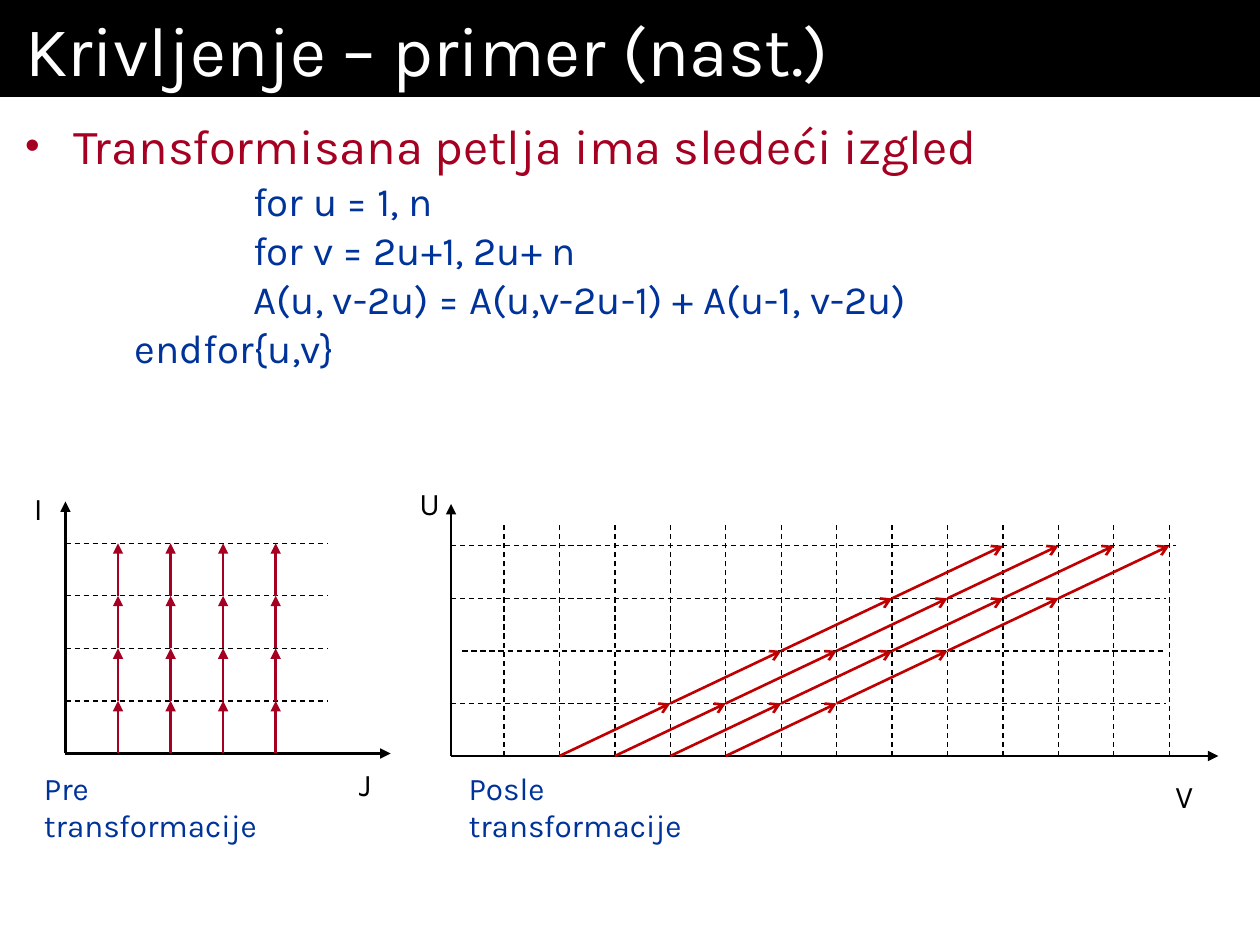
from collections import namedtuple

from lxml import etree
from pptx import Presentation
from pptx.dml.color import RGBColor
from pptx.enum.dml import MSO_LINE_DASH_STYLE as Dash
from pptx.enum.shapes import MSO_CONNECTOR as Connector
from pptx.enum.text import MSO_ANCHOR as Anchor, MSO_AUTO_SIZE as AutoSize, PP_ALIGN as Align
from pptx.oxml.ns import qn
from pptx.util import Inches, Pt

COLORS = {
    "black": "000000",
    "white": "FFFFFF",
    "crimson": "A50021",
    "red": "C00000",
    "blue": "003399",
}
FONT = "Karla"
ROW_STEP = 0.417
Box = namedtuple("Box", "left top width height")


def color(name):
    return RGBColor.from_string(COLORS[name])


def set_all(target, values):
    for name, value in values.items():
        setattr(target, name, value)


def place(shape, box):
    set_all(shape, {name: Inches(value) for name, value in box._asdict().items()})


def set_frame(frame, inset_x, inset_y, anchor, wrap=True):
    set_all(frame, {
        "margin_left": Inches(inset_x),
        "margin_right": Inches(inset_x),
        "margin_top": Inches(inset_y),
        "margin_bottom": Inches(inset_y),
        "vertical_anchor": anchor,
        "word_wrap": wrap,
        "auto_size": AutoSize.NONE,
    })


def write(paragraph, text, size, ink, align=Align.LEFT):
    paragraph.alignment = align
    run = paragraph.add_run()
    run.text = text
    set_all(run.font, {"name": FONT, "size": Pt(size)})
    run.font.color.rgb = color(ink)


def indent(paragraph, left, first, bullet=None):
    props = paragraph._p.get_or_add_pPr()
    props.set("marL", str(Inches(left)))
    props.set("indent", str(Inches(first)))
    if bullet is None:
        etree.SubElement(props, qn("a:buNone"))
        return
    ink = etree.SubElement(props, qn("a:buClr"))
    etree.SubElement(ink, qn("a:srgbClr"), val=COLORS["crimson"])
    etree.SubElement(props, qn("a:buSzPct"), val="85000")
    etree.SubElement(props, qn("a:buChar"), char=bullet)


def add_line(slide, start, end, ink="black", width=1.5, dash=None, arrow=None):
    line = slide.shapes.add_connector(
        Connector.STRAIGHT, *(Inches(value) for value in (*start, *end)))
    line.line.color.rgb = color(ink)
    set_all(line.line, {"width": Pt(width), "dash_style": dash})
    if arrow:
        etree.SubElement(line.line._get_or_add_ln(), qn("a:tailEnd"), type=arrow)
    etree.SubElement(line._element.spPr, qn("a:effectLst"))


def add_grid_line(slide, start, end):
    add_line(slide, start, end, width=0.75, dash=Dash.DASH)


def add_label(slide, text, box, ink="black", wrap=False):
    label = slide.shapes.add_textbox(*(Inches(value) for value in box))
    frame = label.text_frame
    set_frame(frame, 0.1, 0.05, Anchor.BOTTOM, wrap)
    if wrap:
        frame.margin_right = Inches(0.4)
    write(frame.paragraphs[0], text, 18, ink)


def add_axes(slide, box):
    origin = (box.left, box.top + box.height)
    add_line(slide, origin, (box.left, box.top), arrow="triangle")
    add_line(slide, origin, (box.left + box.width, origin[1]), arrow="triangle")
    return origin


def build_heading(slide, box):
    title = slide.shapes.title
    place(title, box)
    title.fill.solid()
    title.fill.fore_color.rgb = color("black")
    set_frame(title.text_frame, 0.2, 0.05, Anchor.MIDDLE)
    write(title.text_frame.paragraphs[0], "Krivljenje – primer (nast.)", 40, "white")


def build_loop_code(slide, box):
    body = slide.placeholders[1]
    place(body, box)
    frame = body.text_frame
    set_frame(frame, 0.2, 0.15, Anchor.TOP)
    intro = frame.paragraphs[0]
    write(intro, "Transformisana petlja ima sledeći izgled", 28, "crimson")
    indent(intro, 0.38, -0.38, "•")
    code_lines = [
        ("for u = 1, n", 1.81),
        ("for v = 2u+1, 2u+ n", 1.81),
        ("A(u, v-2u) = A(u,v-2u-1) + A(u-1, v-2u)", 1.81),
        ("endfor{u,v}", 0.87),
    ]
    for text, left in code_lines:
        code = frame.add_paragraph()
        set_all(code, {"level": 1, "space_before": Pt(0.6)})
        write(code, text, 23, "blue", Align.JUSTIFY)
        indent(code, left, 0)


def build_before_graph(slide, box):
    x0, y0 = add_axes(slide, box)
    for row in range(1, 5):
        y = y0 - row * ROW_STEP
        add_grid_line(slide, (x0, y), (x0 + 2.08, y))
        for column in range(1, 5):
            x = x0 + column * ROW_STEP
            add_line(slide, (x, y + ROW_STEP), (x, y), "crimson", arrow="triangle")
    add_label(slide, "I", Box(x0 - 0.35, box.top - 0.15, 0.27, 0.4))
    add_label(slide, "J", Box(x0 + 2.23, y0 + 0.04, 0.33, 0.4))
    add_label(slide, "Pre transformacije", Box(x0 - 0.27, y0 + 0.37, 2.3, 0.4), "blue", True)


def build_after_graph(slide, box):
    x0, y0 = add_axes(slide, box)
    column_step = 0.44
    first_column = x0 + 0.42
    row_ends = [(0, 5.67), (0.09, 5.67), (0, 5.67), (0, 5.75)]
    for row, (start, end) in enumerate(row_ends, 1):
        y = y0 - row * ROW_STEP
        add_grid_line(slide, (x0 + start, y), (x0 + end, y))
    for column in range(13):
        x = first_column + column * column_step
        add_grid_line(slide, (x, y0), (x, y0 - 1.83))
    for row in range(4):
        y = y0 - row * ROW_STEP
        for chain in range(4):
            x = first_column + (1 + chain + 2 * row) * column_step
            add_line(slide, (x, y), (x + 2 * column_step, y - ROW_STEP), "red", arrow="arrow")
    add_label(slide, "U", Box(x0 - 0.35, box.top - 0.21, 0.38, 0.4))
    add_label(slide, "V", Box(x0 + 5.65, y0 + 0.12, 0.37, 0.4))
    add_label(slide, "Posle transformacije", Box(x0 + 0.04, y0 + 0.35, 2.51, 0.4), "blue", True)


def main():
    deck = Presentation()
    set_all(deck, {"slide_width": Inches(10), "slide_height": Inches(7.5)})
    slide = deck.slides.add_slide(deck.slide_layouts[1])
    build_heading(slide, Box(0, 0, 10, 0.77))
    build_loop_code(slide, Box(0, 0.77, 10, 6.73))
    build_before_graph(slide, Box(0.52, 3.98, 2.58, 2))
    build_after_graph(slide, Box(3.58, 4, 6.09, 2))
    deck.save("out.pptx")


if __name__ == "__main__":
    main()
